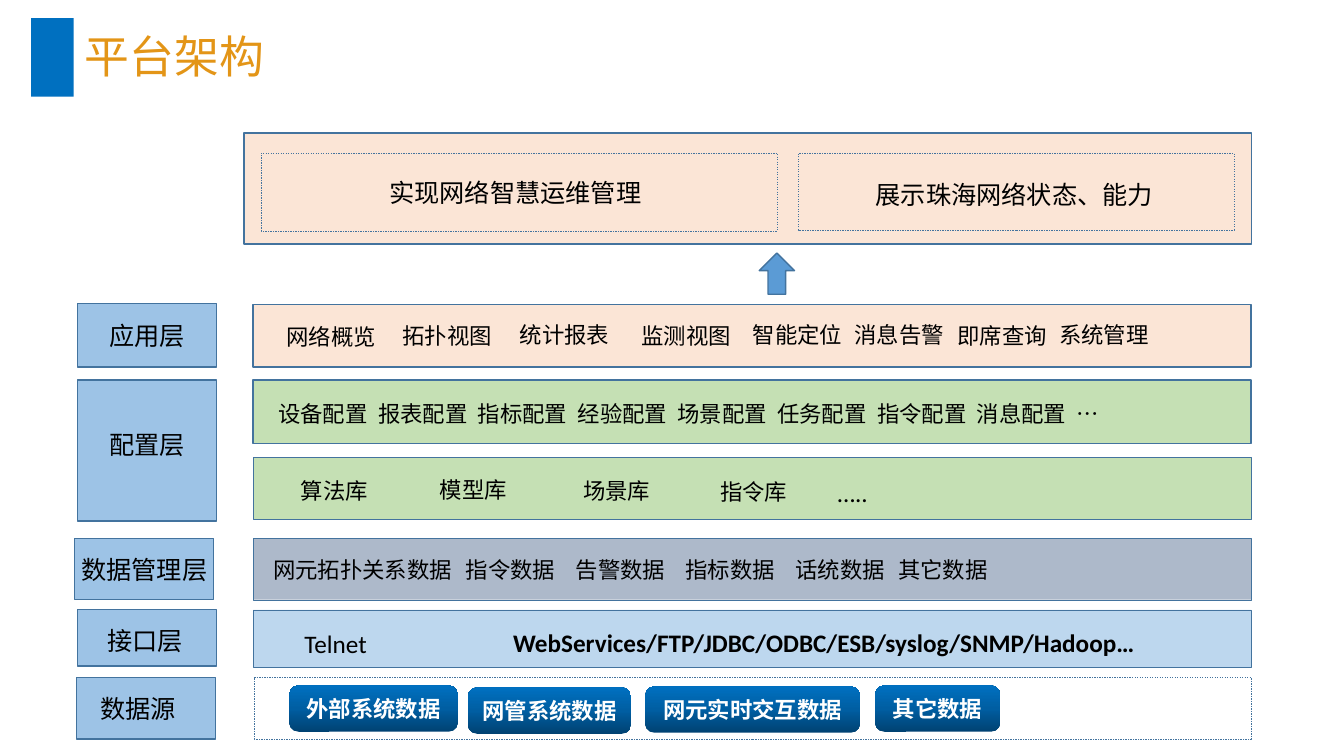
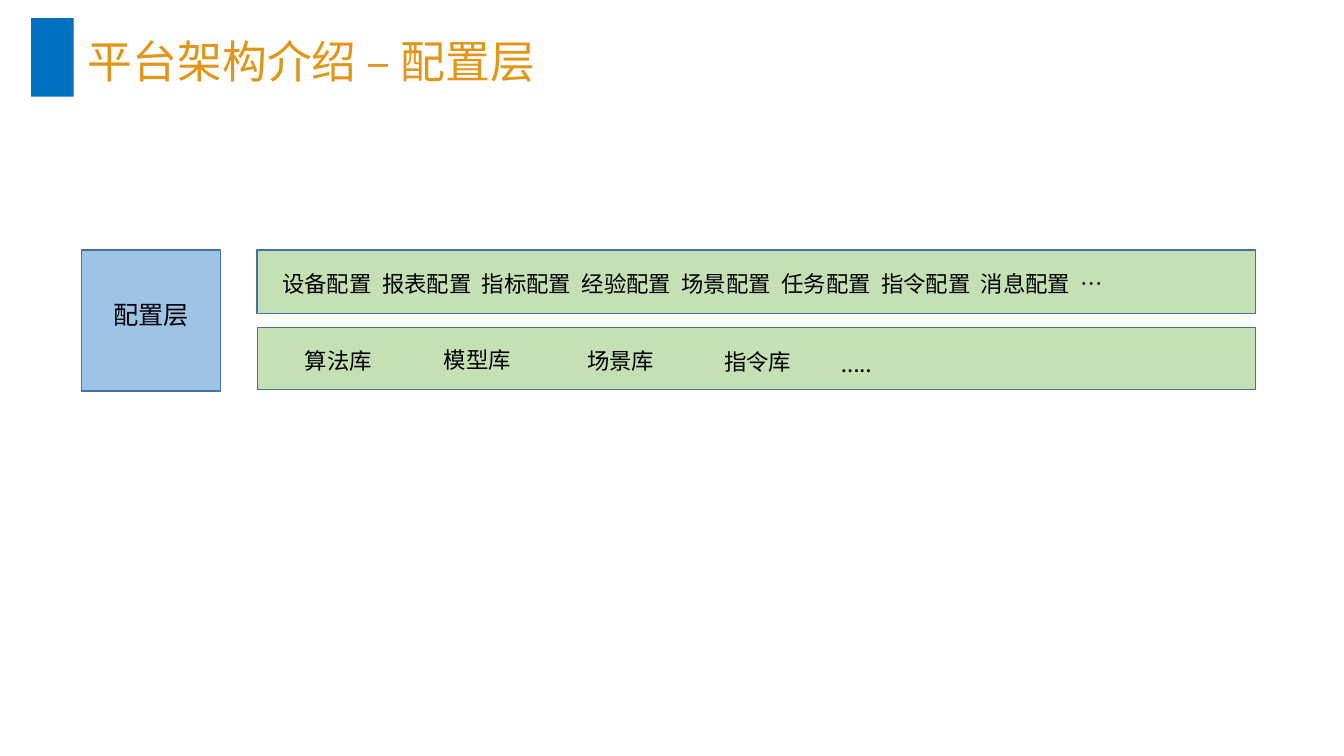
"""Build two slides on the layers of a network platform."""
from copy import deepcopy
from dataclasses import dataclass

from lxml.etree import SubElement
from pptx import Presentation
from pptx.dml.color import RGBColor
from pptx.enum.dml import MSO_LINE
from pptx.enum.shapes import MSO_SHAPE
from pptx.enum.text import MSO_ANCHOR, MSO_AUTO_SIZE, PP_ALIGN
from pptx.oxml.ns import qn
from pptx.util import Inches, Pt


@dataclass(frozen=True)
class Theme:
    chinese: str = "Noto Sans CJK SC"
    latin: str = "Calibri"
    title_size: int = 32
    label_size: int = 18
    item_size: int = 16
    thick: float = 1
    thin: float = 0.25
    inset: float = 0.04
    marker: RGBColor = RGBColor.from_string("0070C0")
    title: RGBColor = RGBColor.from_string("E39517")
    ink: RGBColor = RGBColor.from_string("000000")
    white: RGBColor = RGBColor.from_string("FFFFFF")
    outline: RGBColor = RGBColor.from_string("43739E")
    layer: RGBColor = RGBColor.from_string("9DC3E6")
    application: RGBColor = RGBColor.from_string("FBE5D6")
    configuration: RGBColor = RGBColor.from_string("C5E0B4")
    data: RGBColor = RGBColor.from_string("ADB9CA")
    interface: RGBColor = RGBColor.from_string("BDD7EE")
    arrow: RGBColor = RGBColor.from_string("5B9BD5")
    button_stops: tuple = (
        (0, RGBColor.from_string("004272")),
        (0.5, RGBColor.from_string("005EA2")),
        (1, RGBColor.from_string("0070C0")),
    )


class Slides:
    def __init__(self, theme):
        self.theme = theme
        self.deck = Presentation()
        self.deck.slide_width = Inches(13.33)
        self.deck.slide_height = Inches(7.5)
        self.layout = self.deck.slide_layouts.get_by_name("Title Only")
        self.page = None

    def new_page(self, title, at, spacing=1.0):
        self.page = self.deck.slides.add_slide(self.layout)
        if len(self.deck.slides) == 1:
            self.add_marker_to_layout()
        box = self.page.shapes.title
        box.left, box.top, box.width, box.height = map(Inches, at)
        self.set_text(box, title, self.theme.title_size, color=self.theme.title,
                      align=PP_ALIGN.LEFT, anchor=MSO_ANCHOR.TOP,
                      insets=(0.1, 0.05, 0.1, 0.05))
        box.text_frame.paragraphs[0].line_spacing = spacing

    def add_marker_to_layout(self):
        marker = self.shape((0.31, 0.18, 0.42, 0.78), self.theme.marker, None)
        marker.element.nvSpPr.cNvPr.set("id", "20")
        self.layout.shapes.element.insert(2, marker.element)

    def set_text(self, box, text, size, color=None, bold=False, font=None,
                 align=PP_ALIGN.CENTER, anchor=MSO_ANCHOR.MIDDLE,
                 insets=None, wrap=False):
        frame = box.text_frame
        frame.word_wrap = wrap
        frame.auto_size = MSO_AUTO_SIZE.NONE
        frame.vertical_anchor = anchor
        (frame.margin_left, frame.margin_top, frame.margin_right,
         frame.margin_bottom) = map(Inches, insets or (self.theme.inset,) * 4)
        para = frame.paragraphs[0]
        para.alignment = align
        span = para.add_run()
        span.text = text
        span.font.size = Pt(size)
        span.font.bold = bold
        span.font.color.rgb = self.theme.ink if color is None else color
        span.font.name = font or self.theme.chinese
        east_asian = SubElement(span.font._element, qn("a:ea"))
        east_asian.set("typeface", span.font.name)

    def shape(self, at, fill, line, kind=MSO_SHAPE.RECTANGLE, dashed=False):
        shape = self.page.shapes.add_shape(kind, *map(Inches, at))
        shape.shadow.inherit = False
        if fill is None:
            shape.fill.background()
        else:
            shape.fill.solid()
            shape.fill.fore_color.rgb = fill
        if line is None:
            shape.line.fill.background()
        else:
            shape.line.color.rgb = self.theme.outline
            shape.line.width = Pt(line)
        if dashed:
            shape.line.dash_style = MSO_LINE.DASH
        return shape

    def band(self, at, fill, line=None):
        return self.shape(at, fill, line or self.theme.thin)

    def layer(self, at, name, insets=(0, 0, 0, 0)):
        tile = self.shape(at, self.theme.layer, self.theme.thick)
        self.set_text(tile, name, self.theme.label_size, insets=insets)

    def goal(self, at, text, insets):
        panel = self.shape(at, None, self.theme.thin, dashed=True)
        self.set_text(panel, text, self.theme.label_size, insets=insets)

    def item(self, left, top, width, text):
        box = self.page.shapes.add_textbox(*map(Inches, (left, top, width, 0.46)))
        self.set_text(box, text, self.theme.item_size)

    def note(self, left, top, width, text, bold=False):
        box = self.page.shapes.add_textbox(*map(Inches, (left, top, width, 0.4)))
        self.set_text(box, text, self.theme.label_size, bold=bold,
                      font=self.theme.latin, align=PP_ALIGN.LEFT,
                      anchor=MSO_ANCHOR.TOP, insets=(0.1, 0.05, 0.1, 0.05))

    def tabbed_items(self, left, top, names, stops):
        box = self.page.shapes.add_textbox(*map(Inches, (left, top, 9.5, 0.46)))
        properties = box.text_frame.paragraphs[0]._p.get_or_add_pPr()
        tabs = SubElement(properties, qn("a:tabLst"))
        for stop in stops:
            tab = SubElement(tabs, qn("a:tab"))
            tab.set("pos", str(Inches(stop)))
            tab.set("algn", "l")
        self.set_text(box, "\t".join(names), self.theme.item_size,
                      align=PP_ALIGN.LEFT, wrap=True)

    def button(self, left, top, width, text):
        button = self.shape((left, top, width, 0.46), None, None,
                            MSO_SHAPE.ROUNDED_RECTANGLE)
        button.adjustments[0] = 0.2
        button.fill.gradient()
        button.fill.gradient_angle = 90
        stops = button.element.spPr.find(qn("a:gradFill")).find(qn("a:gsLst"))
        stops.insert(1, deepcopy(stops[0]))
        for stop, (position, color) in zip(button.fill.gradient_stops,
                                           self.theme.button_stops):
            stop.position = position
            stop.color.rgb = color
        self.set_text(button, text, self.theme.item_size, self.theme.white, bold=True)

    def configuration_layer(self, left, top):
        theme = self.theme
        band_left = left + 1.74
        self.layer((left, top, 1.38, 1.4), "配置层", (0, 0, 0, 0.12))
        self.band((band_left, top, 9.9, 0.63), theme.configuration, theme.thick)
        self.band((band_left, top + 0.77, 9.9, 0.61), theme.configuration)
        names = ("设备配置", "报表配置", "指标配置", "经验配置", "场景配置",
                 "任务配置", "指令配置", "消息配置", "…")
        self.tabbed_items(band_left + 0.21, top + 0.1, names,
                          [0.99 * column for column in range(1, len(names))])
        for offset, drop, name in ((0.21, 0.87, "算法库"), (1.59, 0.86, "模型库"),
                                   (3.01, 0.87, "场景库"), (4.37, 0.88, "指令库")):
            self.item(band_left + offset, top + drop, 1.19, name)
        self.note(band_left + 5.7, top + 0.92, 1.53, "…..")


def build_architecture(slides):
    theme = slides.theme
    slides.new_page("平台架构", (0.74, 0.23, 2, 0.64))

    slides.band((2.42, 1.32, 9.99, 1.1), theme.application, theme.thick)
    slides.goal((2.59, 1.52, 5.12, 0.77), "实现网络智慧运维管理", (0, 0, 0.08, 0))
    slides.goal((7.92, 1.52, 4.32, 0.76), "展示珠海网络状态、能力", (0, 0.06, 0.04, 0))
    slides.shape((7.53, 2.51, 0.35, 0.41), theme.arrow, theme.thick,
                 MSO_SHAPE.UP_ARROW)

    slides.layer((0.77, 3.01, 1.38, 0.63), "应用层")
    slides.band((2.51, 3.02, 9.9, 0.62), theme.application, theme.thick)
    for left, top, width, name in (
        (2.69, 3.11, 1.19, "网络概览"), (3.9, 3.1, 1.07, "拓扑视图"),
        (5.02, 3.09, 1.16, "统计报表"), (6.24, 3.1, 1.13, "监测视图"),
        (7.42, 3.09, 0.98, "智能定位"), (8.43, 3.09, 0.98, "消息告警"),
        (9.45, 3.1, 0.98, "即席查询"), (10.46, 3.09, 0.98, "系统管理"),
    ):
        slides.item(left, top, width, name)

    slides.configuration_layer(0.77, 3.77)

    slides.layer((0.74, 5.34, 1.38, 0.61), "数据管理层")
    slides.band((2.51, 5.34, 9.9, 0.61), theme.data)
    slides.tabbed_items(
        2.67, 5.42,
        ("网元拓扑关系数据", "指令数据", "告警数据", "指标数据", "话统数据", "其它数据"),
        (1.91, 3, 4.09, 5.18, 6.2))

    slides.layer((0.77, 6.05, 1.38, 0.56), "接口层", (0, 0.04, 0.04, 0))
    slides.band((2.51, 6.05, 9.9, 0.57), theme.interface)
    slides.note(2.92, 6.18, 2.02, "Telnet")
    slides.note(4.99, 6.17, 6.62,
                "WebServices/FTP/JDBC/ODBC/ESB/syslog/SNMP/Hadoop…", bold=True)

    slides.layer((0.76, 6.72, 1.38, 0.61), "数据源", (0, 0, 0.16, 0))
    slides.shape((2.52, 6.72, 9.89, 0.61), None, theme.thin, dashed=True)
    for left, top, width, name in (
        (2.87, 6.8, 1.67, "外部系统数据"), (4.64, 6.82, 1.62, "网管系统数据"),
        (6.4, 6.81, 2.13, "网元实时交互数据"), (8.68, 6.8, 1.24, "其它数据"),
    ):
        slides.button(left, top, width, name)


def build_configuration(slides):
    slides.new_page("平台架构介绍 – 配置层", (0.77, 0.34, 5.84, 0.59), spacing=0.9)
    slides.configuration_layer(0.81, 2.48)


def main():
    slides = Slides(Theme())
    build_architecture(slides)
    build_configuration(slides)
    slides.deck.save("out.pptx")


if __name__ == "__main__":
    main()
